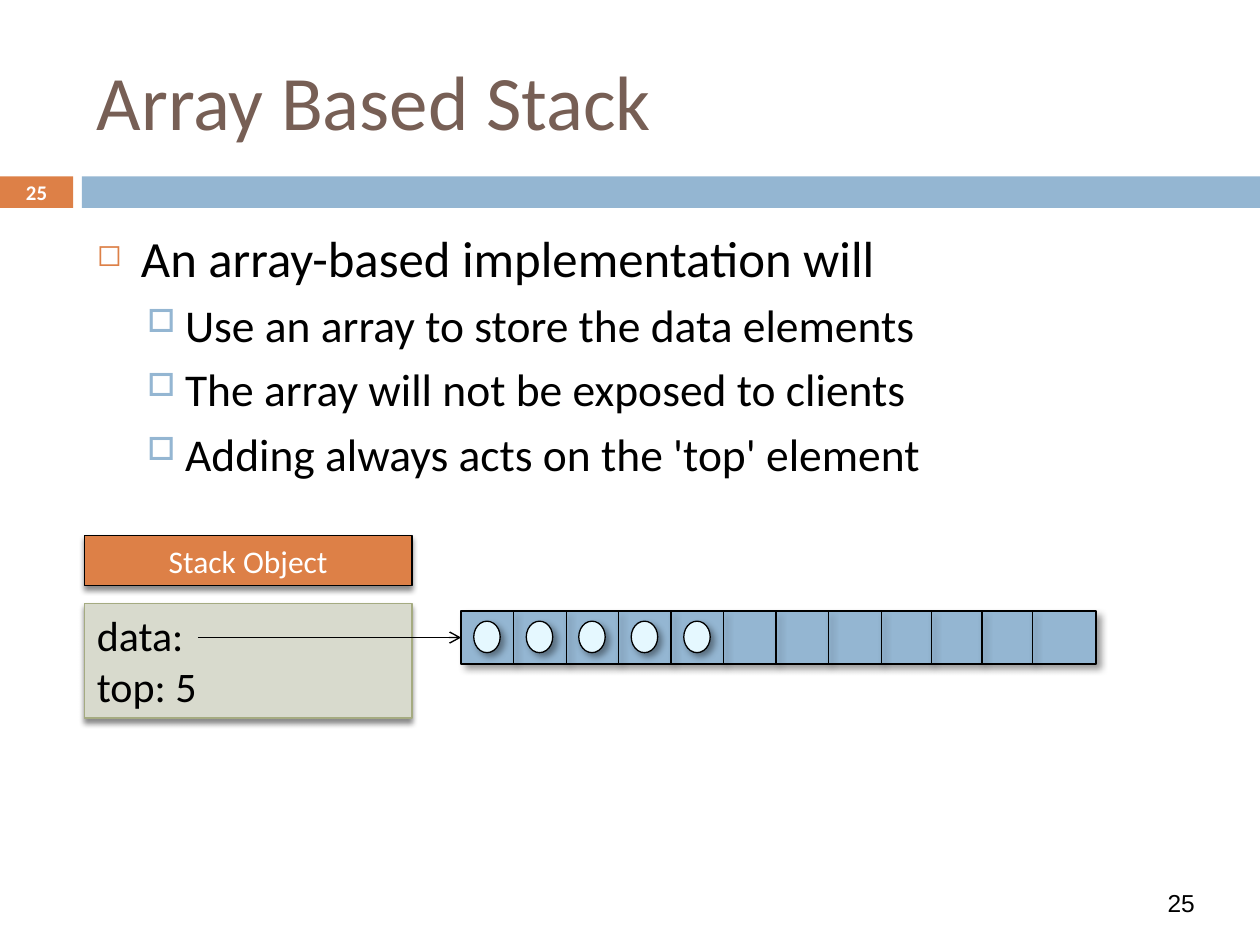
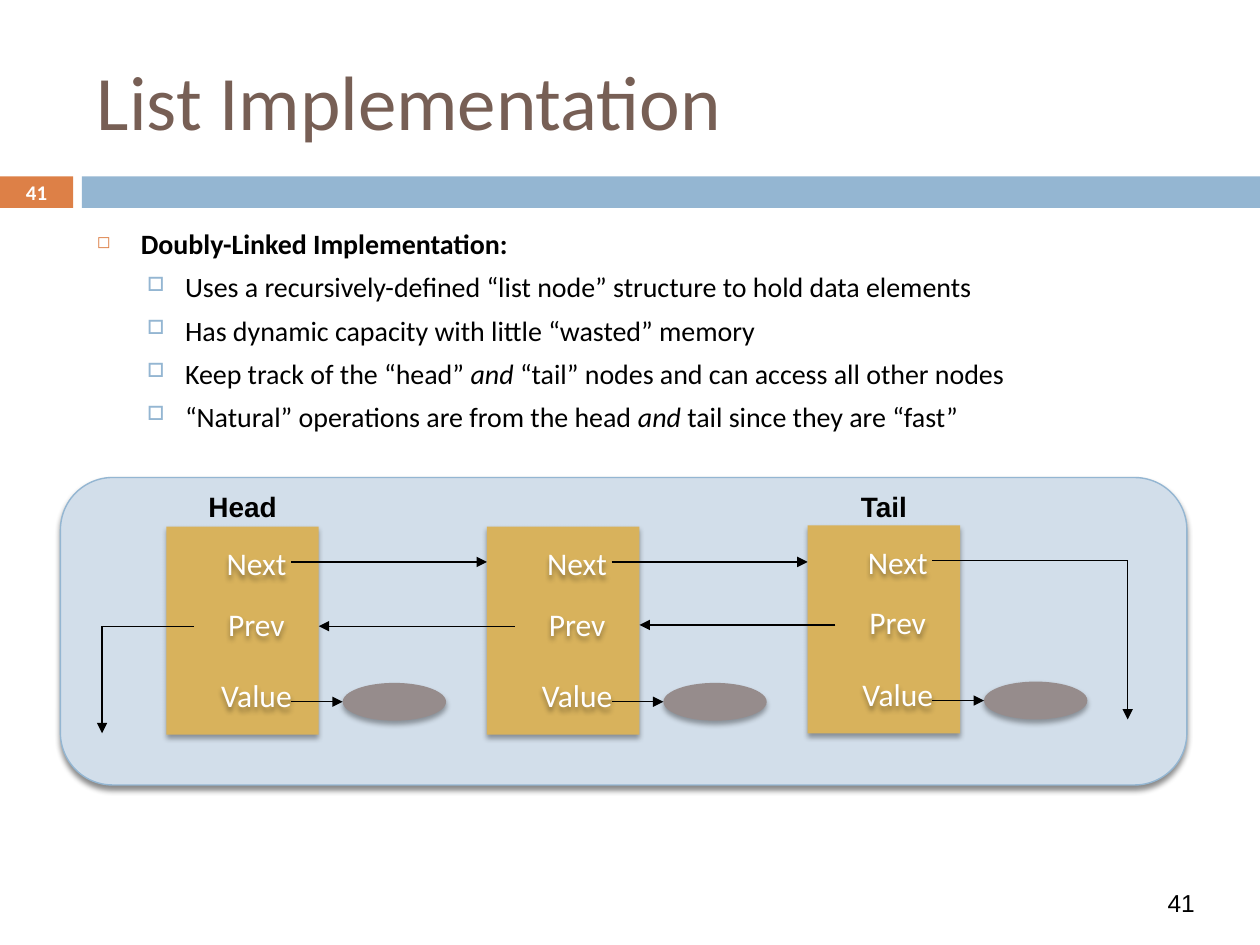
from dataclasses import dataclass

from lxml import etree
from pptx import Presentation
from pptx.dml.color import RGBColor
from pptx.enum.shapes import MSO_CONNECTOR, MSO_SHAPE
from pptx.enum.text import MSO_ANCHOR, PP_ALIGN
from pptx.oxml.ns import qn
from pptx.util import Inches, Pt

RECTANGLE, OVAL, ROUNDED = MSO_SHAPE.RECTANGLE, MSO_SHAPE.OVAL, MSO_SHAPE.ROUNDED_RECTANGLE
STRAIGHT = MSO_CONNECTOR.STRAIGHT
TOP, MIDDLE = MSO_ANCHOR.TOP, MSO_ANCHOR.MIDDLE
LEFT, CENTER = PP_ALIGN.LEFT, PP_ALIGN.CENTER

WIDTH, HEIGHT = Inches(10), Inches(7.5)
COLUMNS, ROWS = 10, 7.5


@dataclass(frozen=True)
class Theme:
    orange: str = "DD8047"
    blue: str = "94B6D2"
    pale_blue: str = "D2DEEA"
    ice: str = "E5F8FF"
    brown: str = "775F55"
    sage: str = "D8DACD"
    olive: str = "A5AB81"
    gold: str = "D8B25C"
    taupe: str = "968C8C"
    black: str = "000000"
    white: str = "FFFFFF"
    font: str = "Calibri"
    label_font: str = "Arial"
    title_size: float = 44
    field_size: float = 24
    node_size: float = 18
    label_size: float = 16
    footer_size: float = 14
    badge_size: float = 11.9
    thin: float = 0.75
    outline: float = 0.79
    # Shadows: opacity in percent, blur and distance in points, angle in degrees
    box_shadow: tuple = (45, 3, 2.4, 90)
    node_shadow: tuple = (35, 3, 2, 90)
    array_shadow: tuple = (40, 4, 3, 45)


@dataclass(frozen=True)
class Bullet:
    character: str
    color: str
    percent: int
    indent: float
    hanging: float
    space_before: float


THEME = Theme()
BULLETS = (
    Bullet("◻", THEME.orange, 60, 0.35, 0.35, 7),
    Bullet("□", THEME.blue, 70, 0.7, 0.3, 5.5),
)


def color_of(value):
    return RGBColor.from_string(value)


def add_element(parent, tag, **attributes):
    return etree.SubElement(parent, qn(tag), {key: str(value) for key, value in attributes.items()})


class Deck:
    """Holds the theme and the current slide; places are columns and rows."""

    def __init__(self, theme):
        self.theme = theme
        self.presentation = Presentation()
        self.presentation.slide_width, self.presentation.slide_height = WIDTH, HEIGHT
        self.slide = None

    def scale(self, *lengths):
        """Turn alternating columns and rows into slide lengths."""
        units = (WIDTH / COLUMNS, HEIGHT / ROWS)
        return [round(length * units[index % 2]) for index, length in enumerate(lengths)]

    def start_slide(self, title, number):
        theme = self.theme
        self.slide = self.presentation.slides.add_slide(self.presentation.slide_layouts[6])
        self.shape(RECTANGLE, (0, 1.4, 0.58, 0.25), theme.orange)
        self.shape(RECTANGLE, (0.65, 1.4, 9.35, 0.25), theme.blue)
        self.text((9, 7, 0.75, 0.33), number, theme.footer_size, font=theme.label_font)
        self.text((0.67, 0.25, 8.92, 1.08), title, theme.title_size, theme.brown,
                  align=LEFT, anchor=MIDDLE)
        self.text((0, 1.39, 0.58, 0.27), number, theme.badge_size, theme.white,
                  bold=True, anchor=MIDDLE)

    def effects(self, shape, shadow=None):
        """Replace the inherited effects by the given shadow, or by none."""
        effect_list = add_element(shape.element.spPr, "a:effectLst")
        if shadow:
            opacity, blur, distance, angle = shadow
            outer = add_element(effect_list, "a:outerShdw", blurRad=Pt(blur), dist=Pt(distance),
                                dir=angle * 60000, algn="ctr", rotWithShape=0)
            shade = add_element(outer, "a:srgbClr", val=self.theme.black)
            add_element(shade, "a:alpha", val=opacity * 1000)

    def shape(self, kind, place, fill, line=None, width=None, shadow=None):
        shape = self.slide.shapes.add_shape(kind, *self.scale(*place))
        shape.fill.solid()
        shape.fill.fore_color.rgb = color_of(fill)
        if line:
            shape.line.color.rgb = color_of(line)
            shape.line.width = Pt(width or self.theme.outline)
        else:
            shape.line.fill.background()
        self.effects(shape, shadow)
        return shape

    def line(self, start, end, head=None, width=None, shadow=None):
        connector = self.slide.shapes.add_connector(STRAIGHT, *self.scale(*start, *end))
        connector.line.color.rgb = color_of(self.theme.black)
        connector.line.width = Pt(width or self.theme.thin)
        if head:
            add_element(connector.element.spPr.find(qn("a:ln")), "a:tailEnd", type=head)
        self.effects(connector, shadow)

    def label(self, shape, text, size, color=None, font=None, bold=False, align=CENTER, anchor=TOP):
        frame = shape.text_frame
        frame.word_wrap = True
        frame.vertical_anchor = anchor
        frame.text = text
        for paragraph in frame.paragraphs:
            paragraph.alignment = align
            self.set_font(paragraph, size, color, font, bold)

    def set_font(self, paragraph, size, color=None, font=None, bold=False):
        paragraph.font.name = font or self.theme.font
        paragraph.font.size = Pt(size)
        paragraph.font.bold = bold
        paragraph.font.color.rgb = color_of(color or self.theme.black)

    def text(self, place, text, size, color=None, shadow=None, **style):
        box = self.slide.shapes.add_textbox(*self.scale(*place))
        self.label(box, text, size, color, **style)
        if shadow:
            self.effects(box, shadow)

    def bullets(self, heading, points, sizes, bold_heading=False):
        """Add a heading and its points; words between asterisks are italic."""
        box = self.slide.shapes.add_textbox(*self.scale(0.67, 1.75, 8.92, 4.92))
        frame = box.text_frame
        frame.word_wrap = True
        for index, text in enumerate([heading, *points]):
            level = min(index, 1)
            paragraph = frame.add_paragraph() if index else frame.paragraphs[0]
            paragraph.level = level
            self.set_font(paragraph, sizes[level], bold=bold_heading and level == 0)
            self.mark(paragraph, BULLETS[level])
            for part, words in enumerate(text.split("*")):
                run = paragraph.add_run()
                run.text = words
                if part % 2:
                    run.font.italic = True

    def mark(self, paragraph, bullet):
        paragraph.space_before = Pt(bullet.space_before)
        properties = paragraph._p.get_or_add_pPr()
        properties.set("marL", str(Inches(bullet.indent)))
        properties.set("indent", str(-Inches(bullet.hanging)))
        # Bullet settings stand before the default run properties
        settings = properties.find(qn("a:defRPr"))
        color = add_element(properties, "a:buClr")
        add_element(color, "a:srgbClr", val=bullet.color)
        add_element(properties, "a:buSzPct", val=bullet.percent * 1000)
        add_element(properties, "a:buChar", char=bullet.character)
        if settings is not None:
            properties.append(settings)

    def array(self, left, top, width, height, dividers, cell, filled):
        """Draw an array whose first cells each hold an element."""
        theme = self.theme
        style = {"width": theme.thin, "shadow": theme.array_shadow}
        self.shape(RECTANGLE, (left, top, width, height), theme.blue, theme.black, **style)
        for x in dividers:
            self.line((x, top), (x, top + height), **style)
        for index in range(filled):
            self.shape(OVAL, (left + 0.1 + index * cell, top + 0.08, 0.21, 0.25),
                       theme.ice, theme.black, **style)

    def node(self, left, top, width, label=None):
        """Draw a list node with its fields and its value."""
        theme = self.theme
        field_left, link_left = left + 0.22, left + 0.99
        self.shape(RECTANGLE, (left, top, width, 1.65), theme.gold, shadow=theme.node_shadow)
        self.shape(OVAL, (left + 1.4, top + 1.24, 0.82, 0.3), theme.taupe, shadow=theme.node_shadow)
        self.line((link_left, top + 1.39), (left + 1.4, top + 1.39), "triangle")
        for name, offset in (("Next", 0.09), ("Prev", 0.57), ("Value", 1.14)):
            self.text((field_left, top + offset, 0.99, 0.4), name, theme.node_size, theme.white,
                      shadow=theme.node_shadow)
        if label:
            self.text((left, 3.84, width, 0.37), label, theme.label_size,
                      font=theme.label_font, bold=True)


def build_array_stack(deck):
    theme = deck.theme
    deck.start_slide("Array Based Stack", "25")
    deck.bullets("An array-based implementation will", [
        "Use an array to store the data elements",
        "The array will not be exposed to clients",
        "Adding always acts on the 'top' element",
    ], sizes=(29, 26))

    fields = deck.shape(RECTANGLE, (0.67, 4.79, 2.6, 0.91), theme.sage, theme.olive,
                        shadow=theme.box_shadow)
    deck.label(fields, "data:\ntop: 5", theme.field_size, align=LEFT)

    array_left, cell, narrow_cell = 3.66, 5 / 12, 0.4
    dividers = [array_left + cell * index for index in range(1, 9)]
    dividers += [dividers[-1] + narrow_cell * index for index in range(1, 4)]
    deck.array(array_left, 4.85, 5.04, 0.42, dividers, cell, filled=5)
    deck.line((1.57, 5.06), (array_left, 5.06), "arrow", theme.outline)

    header = deck.shape(RECTANGLE, (0.67, 4.25, 2.6, 0.4), theme.orange, theme.black,
                        shadow=theme.box_shadow)
    deck.label(header, "Stack Object", theme.node_size, theme.white)


def build_linked_list(deck):
    theme = deck.theme
    deck.start_slide("List Implementation", "41")
    deck.bullets("Doubly-Linked Implementation:", [
        "Uses a recursively-defined “list node” structure to hold data elements",
        "Has dynamic capacity with little “wasted” memory",
        "Keep track of the “head” *and* “tail” nodes and can access all other nodes",
        "“Natural” operations are from the head *and* tail since they are “fast”",
    ], sizes=(16, 16), bold_heading=True)
    panel = deck.shape(ROUNDED, (0.48, 3.79, 8.94, 2.44), theme.pale_blue, theme.blue,
                       shadow=theme.box_shadow)
    panel.adjustments[0] = 0.17

    first_left, last_left, width = 1.32, 6.41, 1.21
    pitch = (last_left - first_left) / 2
    tops = (4.18, 4.18, 4.17)
    for index, (top, label) in enumerate(zip(tops, ("Head", None, "Tail"))):
        left = first_left + index * pitch
        deck.node(left, top, width, label)
        next_y, prev_y = top + 0.28, top + 0.79
        if index < 2:
            deck.line((left + 0.99, next_y), (left + pitch, next_y), "triangle")
        else:
            deck.line((left + 0.99, next_y), (8.95, next_y))
            deck.line((8.95, next_y), (8.95, 5.71), "triangle")
        if index > 0:
            deck.line((left + 0.22, prev_y), (left - pitch + width, prev_y), "triangle")
        else:
            deck.line((left + 0.22, prev_y), (0.81, prev_y))
            deck.line((0.81, prev_y), (0.81, 5.82), "triangle")


def main():
    deck = Deck(THEME)
    build_array_stack(deck)
    build_linked_list(deck)
    deck.presentation.save("out.pptx")


if __name__ == "__main__":
    main()
